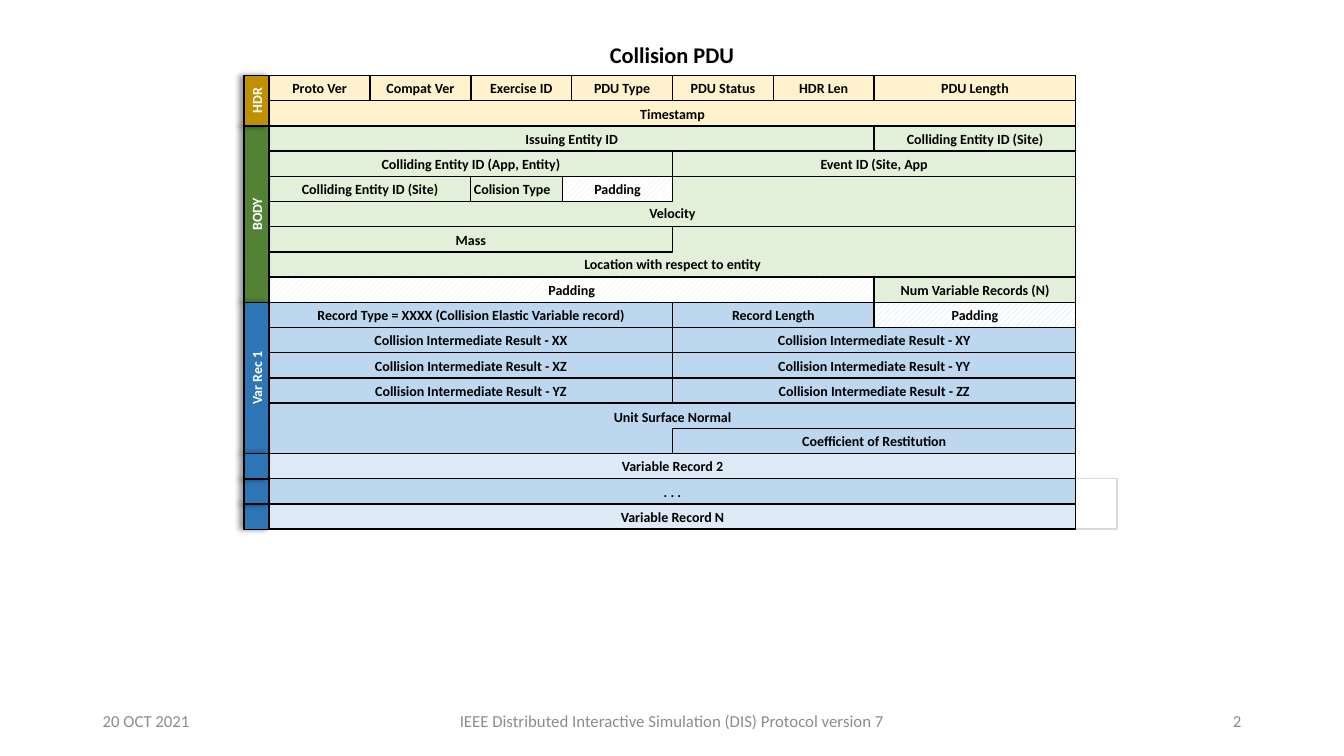
"""Build the Collision PDU layout slide."""
from dataclasses import dataclass

from lxml import etree
from pptx import Presentation
from pptx.dml.color import RGBColor
from pptx.enum.dml import MSO_PATTERN
from pptx.enum.shapes import MSO_SHAPE
from pptx.enum.text import MSO_ANCHOR, PP_ALIGN
from pptx.oxml.ns import qn
from pptx.util import Inches, Pt

RECTANGLE = MSO_SHAPE.RECTANGLE
HATCH = MSO_PATTERN.WIDE_UPWARD_DIAGONAL
TOP, MIDDLE, BOTTOM = MSO_ANCHOR.TOP, MSO_ANCHOR.MIDDLE, MSO_ANCHOR.BOTTOM
LEFT, CENTER, RIGHT = PP_ALIGN.LEFT, PP_ALIGN.CENTER, PP_ALIGN.RIGHT

SLIDE_WIDTH, SLIDE_HEIGHT = 13.33, 7.5
GRID_LEFT, GRID_TOP = 2.67, 0.75
COLUMN, ROW = 1.0, 0.25
TAB_COLUMNS = 0.25

BLACK, WHITE, GRAY, PALE_GRAY = "000000", "FFFFFF", "8C8C8C", "D9D9D9"
CREAM, GREEN, BLUE, PALE_BLUE = "FFF2CC", "E2F0D9", "BDD7EE", "DEEBF7"
GOLD, DARK_GREEN, DARK_BLUE = "BF9000", "548235", "2E75B6"


@dataclass(frozen=True)
class Field:
    """A PDU field, placed in grid columns and rows."""
    label: str
    column: float
    row: int
    columns: float
    fill: str
    rows: int = 1
    anchor: MSO_ANCHOR = MIDDLE
    hatched: bool = False


@dataclass(frozen=True)
class Section:
    """A rotated tab naming a run of rows."""
    label: str
    row: int
    rows: int
    fill: str


@dataclass(frozen=True)
class Caption:
    """Free text, placed in shares of the slide's size."""
    text: str
    left: float
    top: float
    width: float
    height: float
    size: float
    color: str
    align: PP_ALIGN
    bold: bool = False


MULTI_ROW_FIELDS = [
    Field("Unit Surface Normal", 0, 13, 8, BLUE, rows=2, anchor=TOP),
    Field("Location with respect to entity", 0, 6, 8, GREEN, rows=2, anchor=BOTTOM),
    Field("Velocity", 0, 4, 8, GREEN, rows=2, anchor=BOTTOM),
]
HEADER_LABELS = ["Proto Ver", "Compat Ver", "Exercise ID", "PDU Type", "PDU Status", "HDR Len"]
HEADER_FIELDS = [Field(label, column, 0, 1, CREAM) for column, label in enumerate(HEADER_LABELS)] + [
    Field("PDU Length", 6, 0, 2, CREAM),
    Field("Timestamp", 0, 1, 8, CREAM),
]
BODY_FIELDS = [
    Field("Issuing Entity ID", 0, 2, 6, GREEN),
    Field("Colliding Entity ID (Site)", 6, 2, 2, GREEN),
    Field("Colliding Entity ID (App, Entity)", 0, 3, 4, GREEN),
    Field("Event ID (Site, App", 4, 3, 4, GREEN),
    Field("Colision Type", 1.91, 4, 1, GREEN),
    Field("Colliding Entity ID (Site)", 0, 4, 2, GREEN),
    Field("Padding", 2.91, 4, 1.09, GREEN, hatched=True),
    Field("Mass", 0, 6, 4, GREEN),
    Field("Padding", 0, 8, 6, GREEN, hatched=True),
    Field("Num Variable Records (N)", 6, 8, 2, GREEN),
]
RECORD_FIELDS = [
    Field("Record Type = XXXX (Collision Elastic Variable record)", 0, 9, 4, BLUE),
    Field("Record Length", 4, 9, 2, BLUE),
    Field("Padding", 6, 9, 2, BLUE, hatched=True),
] + [
    Field(f"Collision Intermediate Result - {axes}", index % 2 * 4, 10 + index // 2, 4, BLUE)
    for index, axes in enumerate(["XX", "XY", "XZ", "YY", "YZ", "ZZ"])
] + [
    Field("Coefficient of Restitution", 4, 14, 4, BLUE),
    Field("Variable Record 2", 0, 15, 8, PALE_BLUE),
    Field("Variable Record N", 0, 17, 8, PALE_BLUE),
    Field(". . .", 0, 16, 8, BLUE),
]
SECTIONS = [
    Section("BODY", 2, 7, DARK_GREEN),
    Section("Var Rec 1", 9, 6, DARK_BLUE),
    Section("HDR", 0, 2, GOLD),
] + [Section("", row, 1, DARK_BLUE) for row in (17, 16, 15)]
CAPTIONS = [
    Caption("Collision PDU", 0.35, 0.056, 0.3, 0.033, 16, BLACK, CENTER, True),
    Caption("20 OCT 2021", 0.069, 0.927, 0.225, 0.053, 12, GRAY, LEFT),
    Caption("IEEE Distributed Interactive Simulation (DIS) Protocol version 7",
            0.331, 0.927, 0.338, 0.053, 12, GRAY, CENTER),
    Caption("2", 0.706, 0.927, 0.225, 0.053, 12, GRAY, RIGHT),
]


def rgb(value: str) -> RGBColor:
    """Turn a hex string into a colour."""
    return RGBColor.from_string(value)


def write_text(holder, text: str, *, size: float = 10, color: str = BLACK, bold: bool = True,
               align: PP_ALIGN = CENTER, anchor: MSO_ANCHOR = MIDDLE) -> None:
    """Write one formatted paragraph into a shape or text box."""
    frame = holder.text_frame
    frame.word_wrap = True
    frame.vertical_anchor = anchor
    paragraph = frame.paragraphs[0]
    paragraph.alignment = align
    run = paragraph.add_run()
    run.text = text
    run.font.name = "Calibri"
    run.font.size = Pt(size)
    run.font.bold = bold
    run.font.color.rgb = rgb(color)


def add_cell(slide, column: float, row: float, columns: float, rows: float, *,
             fill: str | None = None, line: str = BLACK, hatched: bool = False, rotation: int = 0):
    """Add a rectangle covering a span of the grid, turned in place by quarter turns."""
    width, height = columns * COLUMN, rows * ROW
    center_x = GRID_LEFT + column * COLUMN + width / 2
    center_y = GRID_TOP + row * ROW + height / 2
    if rotation:
        width, height = height, width
    cell = slide.shapes.add_shape(RECTANGLE, Inches(center_x - width / 2), Inches(center_y - height / 2),
                                  Inches(width), Inches(height))
    cell.rotation = rotation
    cell.shadow.inherit = False
    cell.line.color.rgb = rgb(line)
    cell.line.width = Pt(1)
    if fill is None:
        cell.fill.background()
    elif hatched:
        cell.fill.patterned()
        cell.fill.pattern = HATCH
        cell.fill.fore_color.rgb = rgb(fill)
        cell.fill.back_color.rgb = rgb(WHITE)
    else:
        cell.fill.solid()
        cell.fill.fore_color.rgb = rgb(fill)
    return cell


def add_field(slide, field: Field) -> None:
    """Draw one labelled field."""
    cell = add_cell(slide, field.column, field.row, field.columns, field.rows,
                    fill=field.fill, hatched=field.hatched)
    write_text(cell, field.label, anchor=field.anchor)


def add_section(slide, section: Section) -> None:
    """Draw one section tab with its shadow to the left."""
    tab = add_cell(slide, -TAB_COLUMNS, section.row, TAB_COLUMNS, section.rows,
                   fill=section.fill, rotation=270)
    effects = tab.element.spPr.find(qn("a:effectLst"))
    shadow = etree.SubElement(effects, qn("a:outerShdw"), blurRad=str(Pt(4)), dist=str(Pt(3)),
                              dir="10800000", algn="r", rotWithShape="0")
    shade = etree.SubElement(shadow, qn("a:srgbClr"), val=BLACK)
    etree.SubElement(shade, qn("a:alpha"), val="40000")
    if section.label:
        write_text(tab, section.label, color=WHITE)


def add_caption(slide, caption: Caption) -> None:
    """Place one free text line."""
    box = slide.shapes.add_textbox(
        Inches(caption.left * SLIDE_WIDTH), Inches(caption.top * SLIDE_HEIGHT),
        Inches(caption.width * SLIDE_WIDTH), Inches(caption.height * SLIDE_HEIGHT))
    write_text(box, caption.text, size=caption.size, color=caption.color,
               bold=caption.bold, align=caption.align)


def main() -> None:
    """Build and save the slide."""
    deck = Presentation()
    deck.slide_width, deck.slide_height = Inches(SLIDE_WIDTH), Inches(SLIDE_HEIGHT)
    slide = deck.slides.add_slide(deck.slide_layouts[6])
    add_cell(slide, 7.99, 16, 0.42, 2, line=PALE_GRAY, rotation=90)
    for field in MULTI_ROW_FIELDS + HEADER_FIELDS + BODY_FIELDS + RECORD_FIELDS:
        add_field(slide, field)
    for section in SECTIONS:
        add_section(slide, section)
    for caption in CAPTIONS:
        add_caption(slide, caption)
    deck.save("out.pptx")


if __name__ == "__main__":
    main()
